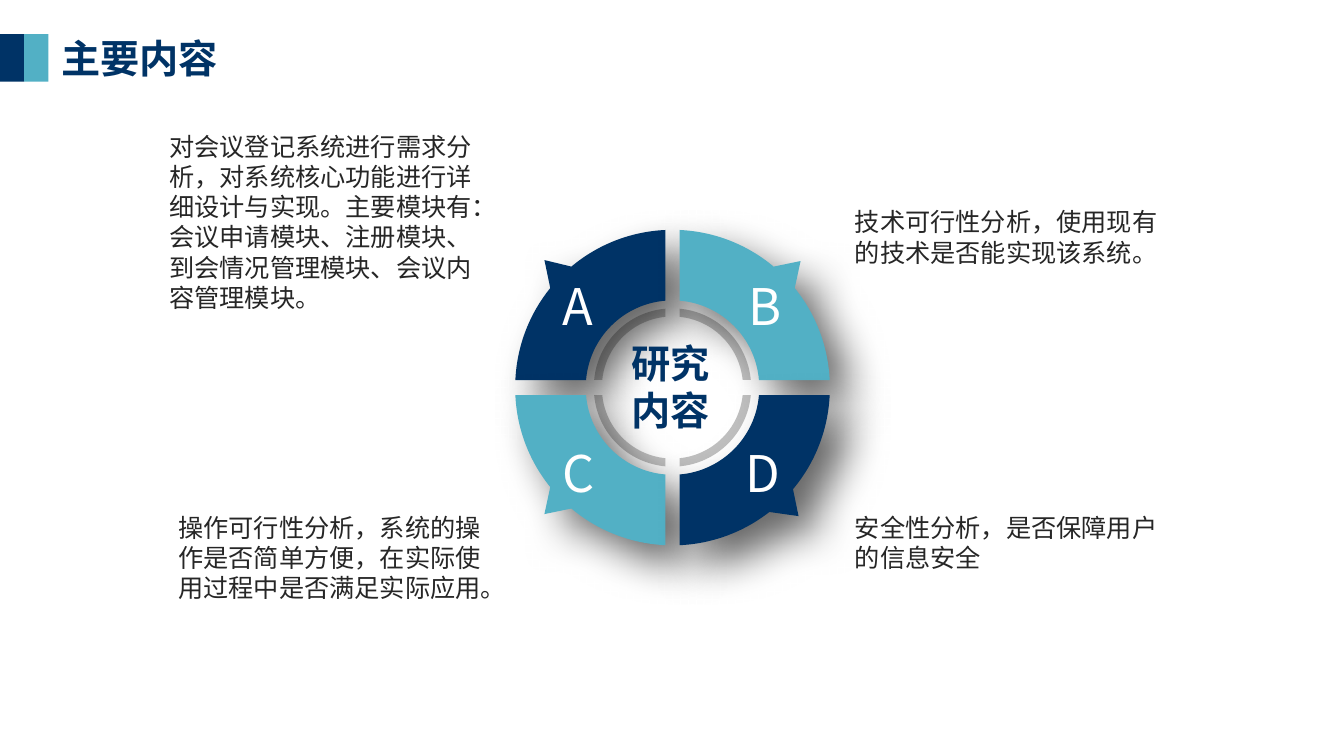
from dataclasses import dataclass
from itertools import chain
from math import asin, cos, degrees, radians, sin, tan

from lxml import etree
from pptx import Presentation
from pptx.dml.color import RGBColor
from pptx.enum.shapes import MSO_SHAPE
from pptx.enum.text import MSO_ANCHOR, MSO_AUTO_SIZE, PP_ALIGN
from pptx.oxml.ns import qn
from pptx.util import Inches, Pt

FONT = "Noto Sans CJK SC"
NAVY, TEAL, GREY, INK, WHITE = "003366", "52B0C5", "BFBFBF", "262626", "FFFFFF"
CORNER_X = {-1: 6.6, 1: 6.74}
CORNER_Y = {-1: 3.77, 1: 3.92}
HALF_GAP = 0.07
OUTER, INNER = 1.56, 0.86
RING_OUTER, RING_INNER = 0.78, 0.7

Point = tuple[float, float]
Segment = list[Point]
Box = tuple[float, float, float, float]


@dataclass(frozen=True)
class Tip:
    point: Point
    start: float = 39
    end: float = 50


@dataclass(frozen=True)
class Quadrant:
    letter: str
    side_x: int
    side_y: int
    color: str
    tip: Tip
    letter_box: Box
    note: str
    note_box: Box


QUADRANTS = [
    Quadrant("A", -1, -1, NAVY, Tip((1.27, 1.26)), (5.5, 2.68, 0.52, 0.69),
             "对会议登记系统进行需求分析，对系统核心功能进行详细设计与实现。主要模块有："
             "会议申请模块、注册模块、到会情况管理模块、会议内容管理模块。",
             (1.58, 1.25, 3.34, 1.92)),
    Quadrant("B", 1, -1, TEAL, Tip((1.27, 1.25)), (7.34, 2.68, 0.48, 0.69),
             "技术可行性分析，使用现有的技术是否能实现该系统。", (8.38, 2, 3.34, 1.01)),
    Quadrant("C", -1, 1, TEAL, Tip((1.27, 1.25)), (5.5, 4.34, 0.51, 0.69),
             "操作可行性分析，系统的操作是否简单方便，在实际使用过程中是否满足实际应用。",
             (1.67, 5.03, 3.34, 1.01)),
    Quadrant("D", 1, 1, NAVY, Tip((1.25, 1.27), 40, 52), (7.31, 4.34, 0.55, 0.69),
             "安全性分析，是否保障用户的信息安全", (8.38, 5.03, 3.34, 0.71)),
]


def rgb(color: str) -> RGBColor:
    return RGBColor.from_string(color)


def inches(box: Box) -> list:
    return [Inches(value) for value in box]


def paint(shape, color: str) -> None:
    shape.shadow.inherit = False
    shape.fill.solid()
    shape.fill.fore_color.rgb = rgb(color)
    shape.line.fill.background()


def on_circle(radius: float, angle: float) -> Point:
    return radius * cos(radians(angle)), radius * sin(radians(angle))


def edge_angle(radius: float) -> float:
    return degrees(asin(HALF_GAP / radius))


def arc(radius: float, start: float, end: float) -> Segment:
    reach = 4 / 3 * tan(radians(end - start) / 4)
    limit = radius * cos(radians(edge_angle(radius)))
    (x1, y1), (x2, y2) = on_circle(radius, start), on_circle(radius, end)
    controls = [(x1 - reach * y1, y1 + reach * x1), (x2 + reach * y2, y2 - reach * x2)]
    return [(min(x, limit), min(y, limit)) for x, y in controls] + [(x2, y2)]


def band(outer: float, inner: float, tip: Tip | None = None) -> list[Segment]:
    first, last = edge_angle(outer), edge_angle(inner)
    contour = [[on_circle(outer, first)]]
    if tip:
        contour += [arc(outer, first, tip.start), [tip.point],
                    [on_circle(outer, tip.end)], arc(outer, tip.end, 90 - first)]
    else:
        contour += [arc(outer, first, 45), arc(outer, 45, 90 - first)]
    return contour + [[on_circle(inner, 90 - last)],
                      arc(inner, 90 - last, 45), arc(inner, 45, last)]


def place(contour: list[Segment], quadrant: Quadrant) -> list[list]:
    left, top = CORNER_X[quadrant.side_x], CORNER_Y[quadrant.side_y]
    return [[(Inches(left + quadrant.side_x * (x - HALF_GAP)),
              Inches(top + quadrant.side_y * (y - HALF_GAP))) for x, y in segment]
            for segment in contour]


def bend(shape, segments: list) -> None:
    lines = list(shape._element.iter(qn("a:lnTo")))
    position = 0
    for segment in segments:
        group = lines[position:position + len(segment)]
        position += len(segment)
        if len(group) == 3:
            group[0].tag
            curve = etree.Element(qn("a:cubicBezTo"))
            group[0].addprevious(curve)
            for line in group:
                curve.append(line[0])
                line.getparent().remove(line)


def add_outline(slide, contours: list, color: str):
    builder = slide.shapes.build_freeform(*contours[0][0][0], scale=1.0)
    for index, contour in enumerate(contours):
        if index:
            builder.move_to(*contour[0][0])
        builder.add_line_segments(list(chain.from_iterable(contour[1:])), close=True)
    shape = builder.convert_to_shape()
    bend(shape, [segment for contour in contours for segment in contour[1:]])
    paint(shape, color)
    return shape


def add_shadow(shape) -> None:
    effects = shape._element.spPr.find(qn("a:effectLst"))
    shadow = etree.SubElement(effects, qn("a:outerShdw"), blurRad=str(Pt(30)),
                              dist=str(Pt(20)), dir=str(45 * 60000),
                              algn="tl", rotWithShape="0")
    tint = etree.SubElement(shadow, qn("a:srgbClr"), val="000000")
    etree.SubElement(tint, qn("a:alpha"), val="60000")


def write(shape, text: str, size: float, color: str, bold: bool = False,
          align=PP_ALIGN.LEFT, anchor=MSO_ANCHOR.TOP, wrap: bool = True) -> None:
    frame = shape.text_frame
    frame.auto_size = MSO_AUTO_SIZE.SHAPE_TO_FIT_TEXT
    frame.word_wrap = wrap
    frame.vertical_anchor = anchor
    paragraph = frame.paragraphs[0]
    paragraph.alignment = align
    run = paragraph.add_run()
    run.text = text
    font = run.font
    font.name, font.size, font.bold = FONT, Pt(size), bold
    font.color.rgb = rgb(color)
    etree.SubElement(run._r.get_or_add_rPr(), qn("a:ea"), typeface=FONT)


def add_text(slide, box: Box, text: str, size: float, color: str, **style):
    shape = slide.shapes.add_textbox(*inches(box))
    write(shape, text, size, color, **style)
    return shape


def add_letter(slide, quadrant: Quadrant) -> None:
    shape = add_text(slide, quadrant.letter_box, quadrant.letter, 36, WHITE,
                     anchor=MSO_ANCHOR.MIDDLE, wrap=False)
    frame = shape.text_frame
    frame.margin_left = frame.margin_right = Inches(0.08)
    frame.margin_top = frame.margin_bottom = Inches(0.04)


def add_title(slide, text: str) -> None:
    title = slide.shapes.title
    title.left, title.top, title.width, title.height = inches((0.51, 0.29, 3.6, 0.57))
    write(title, text, 28, NAVY, bold=True)
    for index, color in enumerate((NAVY, TEAL)):
        bar = slide.shapes.add_shape(MSO_SHAPE.RECTANGLE,
                                     *inches((0.24 * index, 0.34, 0.24, 0.47)))
        paint(bar, color)


def add_wheel(slide) -> None:
    ring = band(RING_OUTER, RING_INNER)
    add_outline(slide, [place(ring, quadrant) for quadrant in QUADRANTS], GREY)
    for quadrant in sorted(QUADRANTS, key=lambda q: q.side_x):
        segment = place(band(OUTER, INNER, quadrant.tip), quadrant)
        add_shadow(add_outline(slide, [segment], quadrant.color))
    add_text(slide, (6.05, 3.32, 1.2, 1.04), "研究内容", 28, NAVY,
             bold=True, align=PP_ALIGN.CENTER)


def main() -> None:
    deck = Presentation()
    deck.slide_width, deck.slide_height = Inches(13.33), Inches(7.5)
    slide = deck.slides.add_slide(deck.slide_layouts[5])
    add_title(slide, "主要内容")
    add_wheel(slide)
    for quadrant in QUADRANTS:
        add_letter(slide, quadrant)
        add_text(slide, quadrant.note_box, quadrant.note, 18, INK)
    deck.save("out.pptx")


main()
